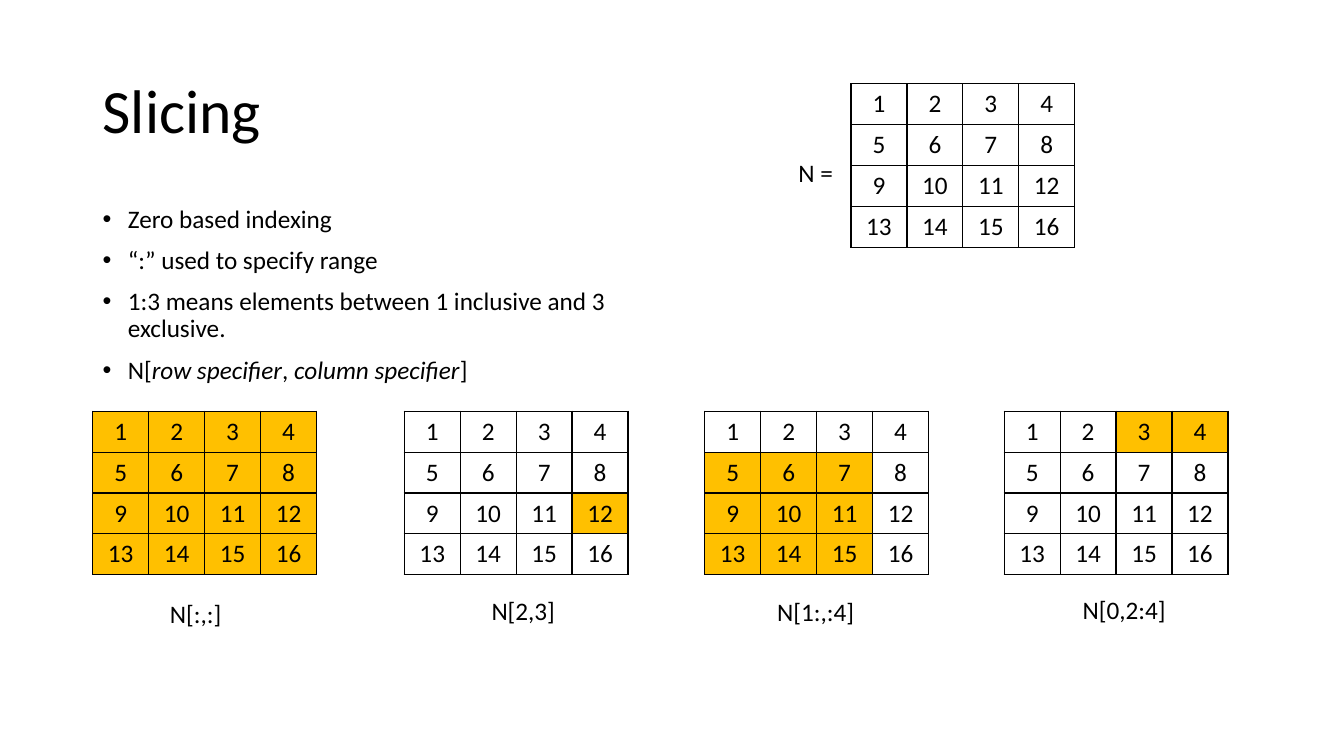
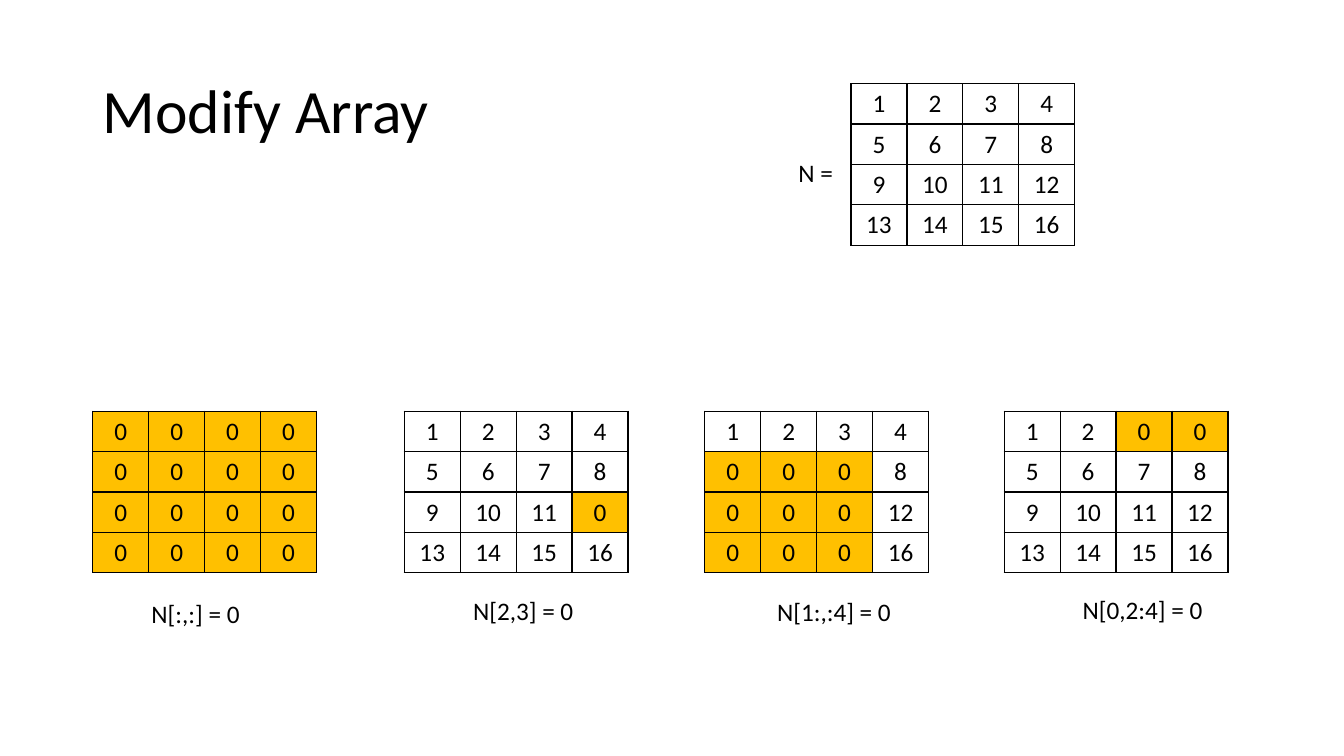
"""Build two slides on slicing and modifying a four-by-four array."""
from dataclasses import dataclass

from lxml import etree
from pptx import Presentation
from pptx.dml.color import RGBColor
from pptx.enum.text import MSO_ANCHOR, MSO_AUTO_SIZE, PP_ALIGN
from pptx.oxml.ns import qn
from pptx.util import Inches, Pt

LEFT, CENTER = PP_ALIGN.LEFT, PP_ALIGN.CENTER
TOP, MIDDLE = MSO_ANCHOR.TOP, MSO_ANCHOR.MIDDLE
FIT_SHAPE, FIT_NONE = MSO_AUTO_SIZE.SHAPE_TO_FIT_TEXT, MSO_AUTO_SIZE.NONE


@dataclass(frozen=True)
class Theme:
    font: str = "Calibri"
    ink: str = "000000"
    highlight: str = "FFC000"
    title_size: int = 44
    body_size: int = 18
    border: float = 1


theme = Theme()
ORDER = 4
MATRIX_WIDTH, MATRIX_HEIGHT = 2.22, 1.6
MARGIN = 0.92
LINE_HEIGHT = 0.4
VIEWS_TOP = 4.08
BULLET_INDENT = Inches(0.25)


def write(frame, text, size=theme.body_size, align=LEFT, spacing=None, before=None, bullet=None):
    """Write one paragraph per line; parts between asterisks are italic."""
    for index, line in enumerate(text.split("\n")):
        paragraph = frame.add_paragraph() if index else frame.paragraphs[0]
        paragraph.alignment = align
        paragraph.line_spacing = spacing
        paragraph.space_before = before
        for part, words in enumerate(line.split("*")):
            run = paragraph.add_run()
            run.text = words
            run.font.name = theme.font
            run.font.size = Pt(size)
            run.font.italic = part % 2 == 1
            run.font.color.rgb = RGBColor.from_string(theme.ink)
        if bullet:
            properties = paragraph._p.get_or_add_pPr()
            properties.set("marL", str(BULLET_INDENT))
            properties.set("indent", str(-BULLET_INDENT))
            etree.SubElement(properties, qn("a:buFont"), typeface="Arial")
            etree.SubElement(properties, qn("a:buChar"), char=bullet)


def add_matrix(slide, left, top, rows=(), columns=(), replacement=None):
    """Draw the array with the chosen rows and columns highlighted."""
    place = map(Inches, (left, top, MATRIX_WIDTH, MATRIX_HEIGHT))
    table = slide.shapes.add_table(ORDER, ORDER, *place).table
    table.first_row = table.horz_banding = False
    for position in range(ORDER * ORDER):
        row, column = divmod(position, ORDER)
        chosen = row in rows and column in columns
        cell = table.cell(row, column)
        value = replacement if chosen and replacement is not None else position + 1
        write(cell.text_frame, str(value), align=CENTER)
        if chosen:
            cell.fill.solid()
            cell.fill.fore_color.rgb = RGBColor.from_string(theme.highlight)
        else:
            cell.fill.background()
        properties = cell._tc.get_or_add_tcPr()
        for index, side in enumerate(("lnL", "lnR", "lnT", "lnB")):
            border = etree.Element(qn(f"a:{side}"), w=str(Pt(theme.border)))
            fill = etree.SubElement(border, qn("a:solidFill"))
            etree.SubElement(fill, qn("a:srgbClr"), val=theme.ink)
            properties.insert(index, border)


views = [
    ("N[:,:]", 0.92, range(4), range(4), 1.94, 5.89, CENTER),
    ("N[2,3]", 4.01, [2], [3], 5.19, 5.86, CENTER),
    ("N[1:,:4]", 6.99, range(1, 4), range(3), 7.61, 5.87, LEFT),
    ("N[0,2:4]", 9.96, [0], range(2, 4), 10.64, 5.85, LEFT),
]
slicing_rules = """Zero based indexing
“:” used to specify range
1:3 means elements between 1 inclusive and 3 exclusive.
N[*row specifier*, *column specifier*]"""
topics = [
    ("Slicing", slicing_rules, "", None, (0.72, 0.84, 0.98, 1.03)),
    ("Modify Array", "", " = 0", 0, (1.09, 1.21, 1.34, 1.4)),
]

deck = Presentation()
deck.slide_width, deck.slide_height = Inches(13.33), Inches(7.5)
blank = deck.slide_layouts[6]

for title, rules, assignment, replacement, caption_widths in topics:
    slide = deck.slides.add_slide(blank)
    texts = [(title, (MARGIN, 0.4, 11.5, 1.45), True, MIDDLE,
              dict(size=theme.title_size, spacing=0.9))]
    if rules:
        texts.append((rules, (MARGIN, 2, 5.67, 4.76), True, TOP,
                      dict(spacing=0.9, before=Pt(10), bullet="•")))
    for view, width in zip(views, caption_widths):
        expression, left, rows, columns, caption_x, caption_top, align = view
        add_matrix(slide, left, VIEWS_TOP, rows, columns, replacement)
        caption_left = caption_x - width / 2 if align == CENTER else caption_x
        texts.append((expression + assignment, (caption_left, caption_top, width, LINE_HEIGHT),
                      False, TOP, dict(align=align)))
    add_matrix(slide, 8.44, 0.83)
    texts.append(("N =", (7.82, 1.51, 0.55, LINE_HEIGHT), False, TOP, {}))
    for text, place, wrap, anchor, style in texts:
        frame = slide.shapes.add_textbox(*map(Inches, place)).text_frame
        frame.word_wrap = wrap
        frame.auto_size = FIT_NONE if wrap else FIT_SHAPE
        frame.vertical_anchor = anchor
        write(frame, text, **style)

deck.save("out.pptx")
